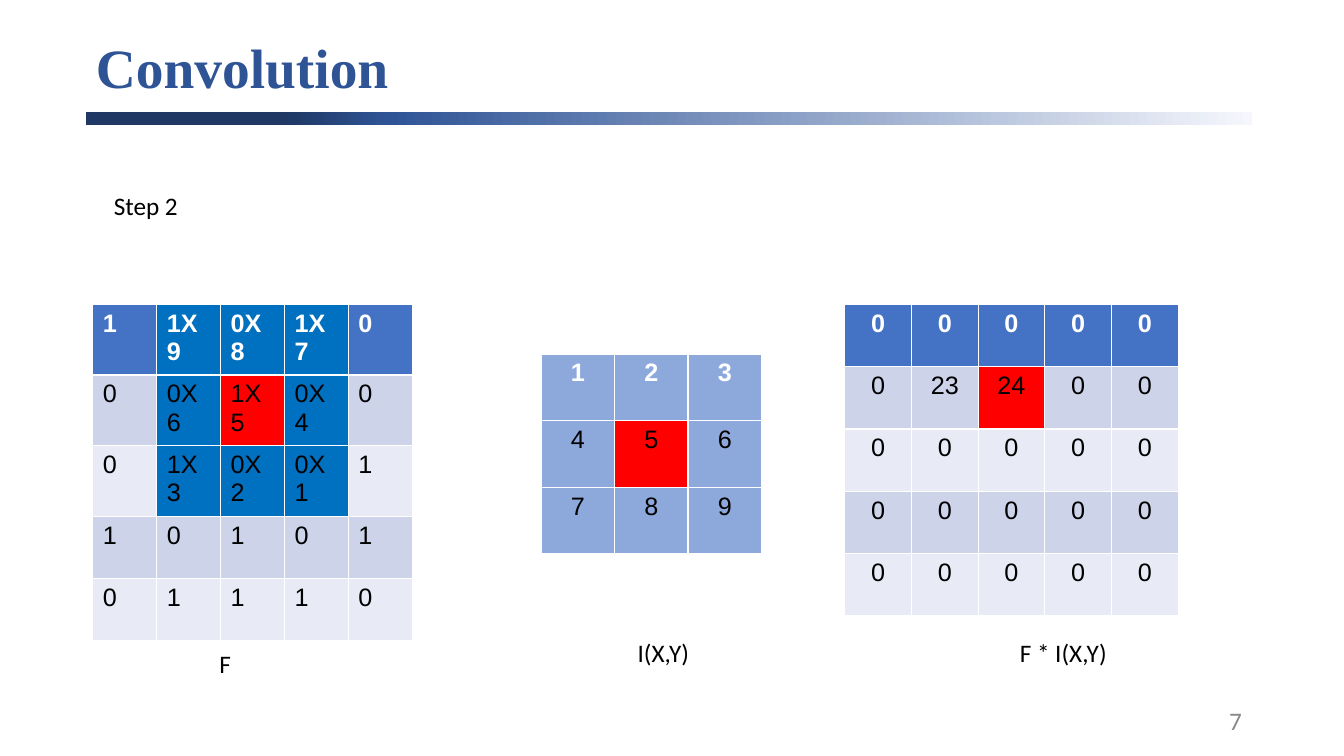
from lxml import etree
from pptx import Presentation
from pptx.dml.color import RGBColor
from pptx.enum.shapes import MSO_SHAPE
from pptx.enum.text import MSO_ANCHOR, MSO_AUTO_SIZE, PP_ALIGN
from pptx.oxml.ns import qn
from pptx.util import Cm, Pt

LEFT, CENTER, RIGHT = PP_ALIGN.LEFT, PP_ALIGN.CENTER, PP_ALIGN.RIGHT
TOP, MIDDLE = MSO_ANCHOR.TOP, MSO_ANCHOR.MIDDLE
NO_AUTOFIT = MSO_AUTO_SIZE.NONE
RECTANGLE = MSO_SHAPE.RECTANGLE

HEADER, BAND_DARK, BAND_LIGHT = "4472C4", "CDD4EA", "E8EBF5"
WINDOW, KERNEL, FOCUS = "0070C0", "8DA9DB", "FF0000"
WHITE, BLACK, GRAY, TITLE_BLUE = "FFFFFF", "000000", "888888", "2F5496"
BAR_STOPS = [(0, "1F3864"), (17, "1F3864"), (26, TITLE_BLUE), (100, "F5F7FC")]

IMAGE_VALUES = [
    ["1", "1X9", "0X8", "1X7", "0"],
    ["0", "0X6", "1X5", "0X4", "0"],
    ["0", "1X3", "0X2", "0X1", "1"],
    ["1", "0", "1", "0", "1"],
    ["0", "1", "1", "1", "0"],
]
KERNEL_VALUES = [["1", "2", "3"], ["4", "5", "6"], ["7", "8", "9"]]
RESULT_VALUES = [["0"] * 5, ["0", "23", "24", "0", "0"]] + [["0"] * 5] * 3


def color(hex_value):
    """Turn a hex string into a colour."""
    return RGBColor.from_string(hex_value)


def set_attributes(target, values):
    """Set each named attribute of the target."""
    for name, value in values.items():
        setattr(target, name, value)


def write_text(text_frame, text, hex_color, align=LEFT, size=18, name="Calibri", bold=False):
    """Write one formatted paragraph."""
    paragraph = text_frame.paragraphs[0]
    paragraph.text = text
    paragraph.alignment = align
    set_attributes(paragraph.font, {"size": Pt(size), "name": name, "bold": bold})
    paragraph.font.color.rgb = color(hex_color)
    return paragraph


def place(shape, left, top, width, height):
    """Place a shape, in centimetres."""
    set_attributes(shape, {"left": Cm(left), "top": Cm(top),
                           "width": Cm(width), "height": Cm(height)})


def add_title(slide, text):
    """Fill and format the title placeholder."""
    title = slide.shapes.title
    place(title, 2.16, 0.91, 29.21, 1.75)
    set_attributes(title.text_frame, {"vertical_anchor": MIDDLE, "auto_size": NO_AUTOFIT,
                                      "word_wrap": True})
    paragraph = write_text(title.text_frame, text, TITLE_BLUE, size=39.6,
                           name="Times New Roman", bold=True)
    paragraph.line_spacing = 0.9


def add_gradient_bar(slide, stops):
    """Add the fading bar under the title."""
    bar = slide.shapes.add_shape(RECTANGLE, Cm(2.16), Cm(2.82), Cm(29.39), Cm(0.34))
    bar.shadow.inherit = False
    bar.line.fill.background()
    bar.fill.gradient()
    bar.fill.gradient_angle = 0
    stop_list = bar.element.find(".//" + qn("a:gsLst"))
    for old_stop in list(stop_list):
        stop_list.remove(old_stop)
    for position, hex_color in stops:
        stop = etree.SubElement(stop_list, qn("a:gs"), pos=str(position * 1000))
        etree.SubElement(stop, qn("a:srgbClr"), val=hex_color)


def add_label(slide, text, left, top, width, hex_color=BLACK, align=LEFT, anchor=TOP, wrap=False):
    """Add a one-line text box."""
    box = slide.shapes.add_textbox(Cm(left), Cm(top), Cm(width), Cm(1.03))
    set_attributes(box.text_frame, {"word_wrap": wrap, "vertical_anchor": anchor})
    write_text(box.text_frame, text, hex_color, align)


def band_fill(row):
    """Give the banded fill of a row."""
    if row == 0:
        return HEADER
    return BAND_DARK if row % 2 else BAND_LIGHT


def image_fill(row, column):
    """Give the image cell's fill, marking the convolution window."""
    return WINDOW if row <= 2 and 1 <= column <= 3 else band_fill(row)


def kernel_fill(row, column):
    """Give the kernel cell's fill."""
    return KERNEL


def result_fill(row, column):
    """Give the result cell's fill."""
    return band_fill(row)


def add_matrix(slide, values, left, top, cell_width, cell_height, focus, fill_rule, align=CENTER):
    """Add a matrix table with one focused cell."""
    rows, columns = len(values), len(values[0])
    table = slide.shapes.add_table(rows, columns, Cm(left), Cm(top), Cm(cell_width * columns),
                                   Cm(cell_height * rows)).table
    for column in table.columns:
        column.width = Cm(cell_width)
    for row_index, row_values in enumerate(values):
        table.rows[row_index].height = Cm(cell_height)
        for column_index, value in enumerate(row_values):
            position = (row_index, column_index)
            cell = table.cell(*position)
            cell.fill.solid()
            cell.fill.fore_color.rgb = color(FOCUS if position == focus else fill_rule(*position))
            is_header = row_index == 0
            write_text(cell.text_frame, value, WHITE if is_header else BLACK,
                       align, name="Arial", bold=is_header)


def main():
    """Build and save the convolution slide."""
    presentation = Presentation()
    set_attributes(presentation, {"slide_width": Cm(33.87), "slide_height": Cm(19.05)})
    slide = presentation.slides.add_slide(presentation.slide_layouts[5])
    add_gradient_bar(slide, BAR_STOPS)
    add_title(slide, "Convolution")
    add_label(slide, "Step 2", 2.62, 4.67, 2.13)
    add_matrix(slide, IMAGE_VALUES, 2.34, 7.67, 1.61, 1.57, (1, 2), image_fill, LEFT)
    add_matrix(slide, KERNEL_VALUES, 13.64, 8.92, 1.85, 1.68, (1, 1), kernel_fill)
    add_matrix(slide, RESULT_VALUES, 21.29, 7.67, 1.68, 1.57, (1, 2), result_fill)
    add_label(slide, "F", 5.28, 16.21, 0.81)
    add_label(slide, "I(X,Y)", 15.82, 15.93, 1.83)
    add_label(slide, "F * I(X,Y)", 25.45, 15.93, 2.74)
    add_label(slide, "7", 23.93, 17.65, 7.62, GRAY, RIGHT, MIDDLE, True)
    presentation.save("out.pptx")


if __name__ == "__main__":
    main()
